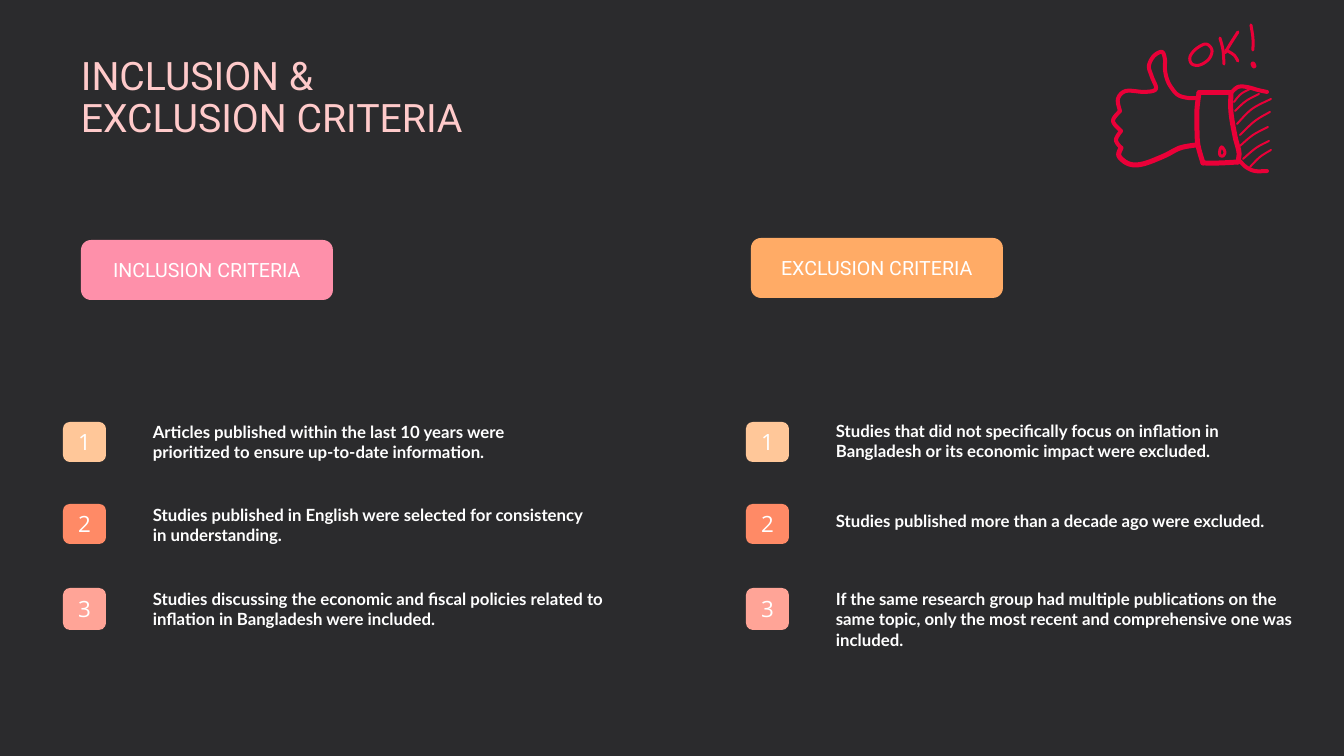
from pptx import Presentation, util as u
from pptx.dml.color import RGBColor
from pptx.enum import shapes, text

PX = 914400 / 100.8

THEME = {
    "background": "2B2B2D", "title": "FFCACA", "text": "FFFFFF", "doodle": "EA0038",
    "badges": ["FFC799", "FF8A66", "FFA497"],
    "heading_font": "Roboto", "body_font": "Lato", "number_font": "Open Sans",
    "title_size": 28, "label_size": 14, "body_size": 12, "number_size": 16,
}

TITLE = ["INCLUSION &", "EXCLUSION CRITERIA"]

# Each criterion: top of its text in px, wording
COLUMNS = [
    {"label": "INCLUSION CRITERIA", "fill": "FE90AA", "label_at": (81, 240), "left": 63,
     "criteria": [
         (417, "Articles published within the last 10 years were prioritized to ensure "
               "up-to-date information."),
         (500, "Studies published in English were selected for consistency in understanding."),
         (584, "Studies discussing the economic and fiscal policies related to inflation in "
               "Bangladesh were included."),
     ]},
    {"label": "EXCLUSION CRITERIA", "fill": "FFAB66", "label_at": (751, 238), "left": 746,
     "criteria": [
         (416, "Studies that did not specifically focus on inflation in Bangladesh or its "
               "economic impact were excluded."),
         (506, "Studies published more than a decade ago were excluded."),
         (584, "If the same research group had multiple publications on the same topic, only "
               "the most recent and comprehensive one was included."),
     ]},
]

# Top and height of each numbered badge, width of the text beside it
ROWS = [(422, 40, 442), (504, 40, 461), (588, 42, 482)]
BADGE_WIDTH, TEXT_OFFSET, TEXT_HEIGHT = 43, 80, 34

# Thumbs-up doodle: line width in px, closed or not, points in px
STROKES = [
    (4, False, [(1197, 98), (1188, 98), (1178, 95), (1171, 87), (1167, 79), (1165, 69),
                (1165, 59), (1162, 52), (1154, 56), (1149, 66), (1152, 77), (1156, 89),
                (1145, 92), (1126, 91), (1118, 99), (1120, 111)]),
    (4, False, [(1120, 111), (1113, 121), (1121, 131)]),
    (4, False, [(1121, 131), (1116, 140), (1121, 148)]),
    (5, False, [(1121, 148), (1119, 156), (1129, 164), (1143, 164), (1164, 156),
                (1180, 148), (1196, 145)]),
    (5, False, [(1199, 93), (1213, 93), (1231, 93)]),
    (5, False, [(1231, 93), (1231, 112), (1235, 136), (1239, 152), (1238, 162)]),
    (5, False, [(1238, 162), (1220, 163), (1203, 163)]),
    (5, False, [(1203, 163), (1198, 145), (1197, 128), (1197, 110), (1199, 93)]),
    (4, False, [(1231, 93), (1238, 87), (1247, 87), (1258, 90), (1267, 92)]),
    (4, False, [(1239, 160), (1246, 167), (1255, 171), (1267, 171)]),
    (2, False, [(1234, 102), (1241, 94), (1250, 89)]),
    (2, False, [(1235, 111), (1246, 101), (1259, 94)]),
    (2, False, [(1237, 124), (1252, 109), (1271, 99)]),
    (2, False, [(1240, 135), (1255, 121), (1270, 112)]),
    (2, False, [(1240, 146), (1253, 135), (1268, 127)]),
    (2, False, [(1243, 159), (1256, 148), (1269, 141)]),
    (2, False, [(1250, 167), (1260, 157), (1271, 150)]),
    (3, True, [(1222, 147), (1225, 152), (1223, 156), (1220, 155), (1220, 150)]),
    (3, True, [(1190, 57), (1196, 49), (1206, 44), (1212, 50), (1209, 59), (1200, 65),
               (1192, 64)]),
    (3, False, [(1220, 38), (1223, 50), (1224, 64)]),
    (3, False, [(1238, 32), (1231, 43), (1225, 53)]),
    (3, False, [(1226, 50), (1234, 55), (1238, 61)]),
    (3, False, [(1251, 25), (1253, 38), (1253, 50)]),
    (5, False, [(1253, 64), (1254, 66)]),
]


def emu(px):
    return u.Emu(round(px * PX))


def color(name):
    return RGBColor.from_string(name)


def write(shape, lines, font, size, ink, bold=False, align=None, spacing=None):
    frame = shape.text_frame
    frame.word_wrap = True
    frame.text = "\n".join(lines)
    for para in frame.paragraphs:
        para.alignment = align
        para.line_spacing = spacing
        for span in para.runs:
            span.font.name = font
            span.font.size = u.Pt(size)
            span.font.bold = bold
            span.font.color.rgb = color(ink)


def add_text(slide, left, top, width, height, *args, **kwargs):
    box = slide.shapes.add_textbox(emu(left), emu(top), emu(width), emu(height))
    write(box, *args, **kwargs)
    return box


def add_pill(slide, left, top, width, height, fill, label, font, size):
    pill = slide.shapes.add_shape(shapes.MSO_SHAPE.ROUNDED_RECTANGLE,
                                  emu(left), emu(top), emu(width), emu(height))
    pill.shadow.inherit = False
    pill.fill.solid()
    pill.fill.fore_color.rgb = color(fill)
    pill.line.fill.background()
    write(pill, [label], font, size, THEME["text"], align=text.PP_ALIGN.CENTER)
    pill.text_frame.vertical_anchor = text.MSO_ANCHOR.MIDDLE


def smooth(points, closed, steps=6):
    """Return points along a Catmull-Rom curve through the given points."""
    if closed:
        padded = [points[-1], *points, *points[:2]]
    else:
        padded = [points[0], *points, points[-1]]
    curve = [points[0]]
    for a, b, c, d in zip(padded, padded[1:], padded[2:], padded[3:]):
        for step in range(1, steps + 1):
            t = step / steps
            curve.append(tuple(
                (2 * q + (r - p) * t + (2 * p - 5 * q + 4 * r - s) * t ** 2
                 + (3 * q - p - 3 * r + s) * t ** 3) / 2
                for p, q, r, s in zip(a, b, c, d)))
    return curve


def add_stroke(slide, width, closed, points):
    start, *rest = [(emu(x), emu(y)) for x, y in smooth(points, closed)]
    builder = slide.shapes.build_freeform(*start)
    builder.add_line_segments(rest, close=closed)
    stroke = builder.convert_to_shape()
    stroke.shadow.inherit = False
    stroke.fill.background()
    stroke.line.color.rgb = color(THEME["doodle"])
    stroke.line.width = emu(width)
    stroke.line._get_or_add_ln().set("cap", "rnd")


def add_column(slide, column):
    add_pill(slide, *column["label_at"], 252, 60, column["fill"], column["label"],
             THEME["heading_font"], THEME["label_size"])
    left = column["left"]
    rows = zip(ROWS, THEME["badges"], column["criteria"])
    for number, ((top, height, width), fill, (text_top, wording)) in enumerate(rows, 1):
        add_pill(slide, left, top, BADGE_WIDTH, height, fill, str(number),
                 THEME["number_font"], THEME["number_size"])
        add_text(slide, left + TEXT_OFFSET, text_top, width, TEXT_HEIGHT, [wording],
                 THEME["body_font"], THEME["body_size"], THEME["text"], bold=True)


def main():
    deck = Presentation()
    deck.slide_width, deck.slide_height = emu(1344), emu(756)
    slide = deck.slides.add_slide(deck.slide_layouts[6])
    slide.background.fill.solid()
    slide.background.fill.fore_color.rgb = color(THEME["background"])

    title = add_text(slide, 71, 53, 570, 91, TITLE, THEME["heading_font"],
                     THEME["title_size"], THEME["title"], spacing=0.9)
    title.text_frame.vertical_anchor = text.MSO_ANCHOR.MIDDLE
    for column in COLUMNS:
        add_column(slide, column)
    for stroke in STROKES:
        add_stroke(slide, *stroke)
    deck.save("out.pptx")


if __name__ == "__main__":
    main()
